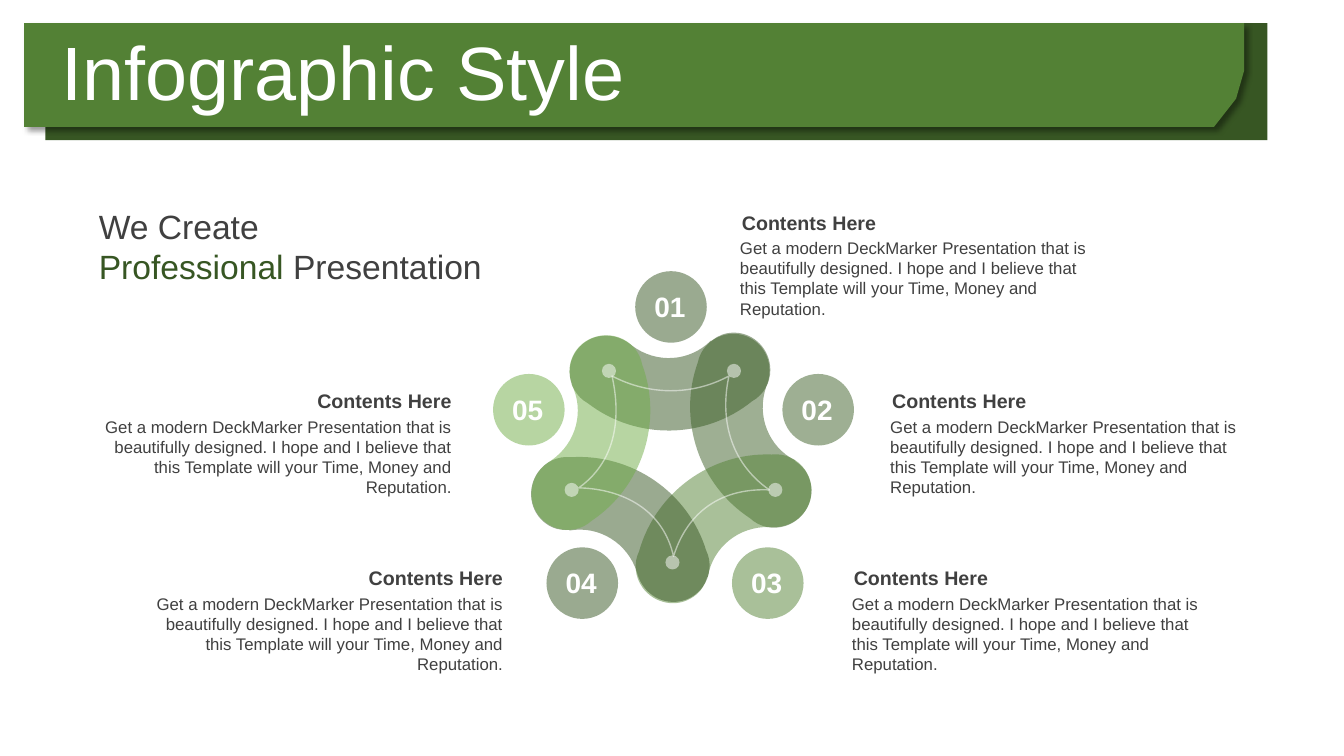
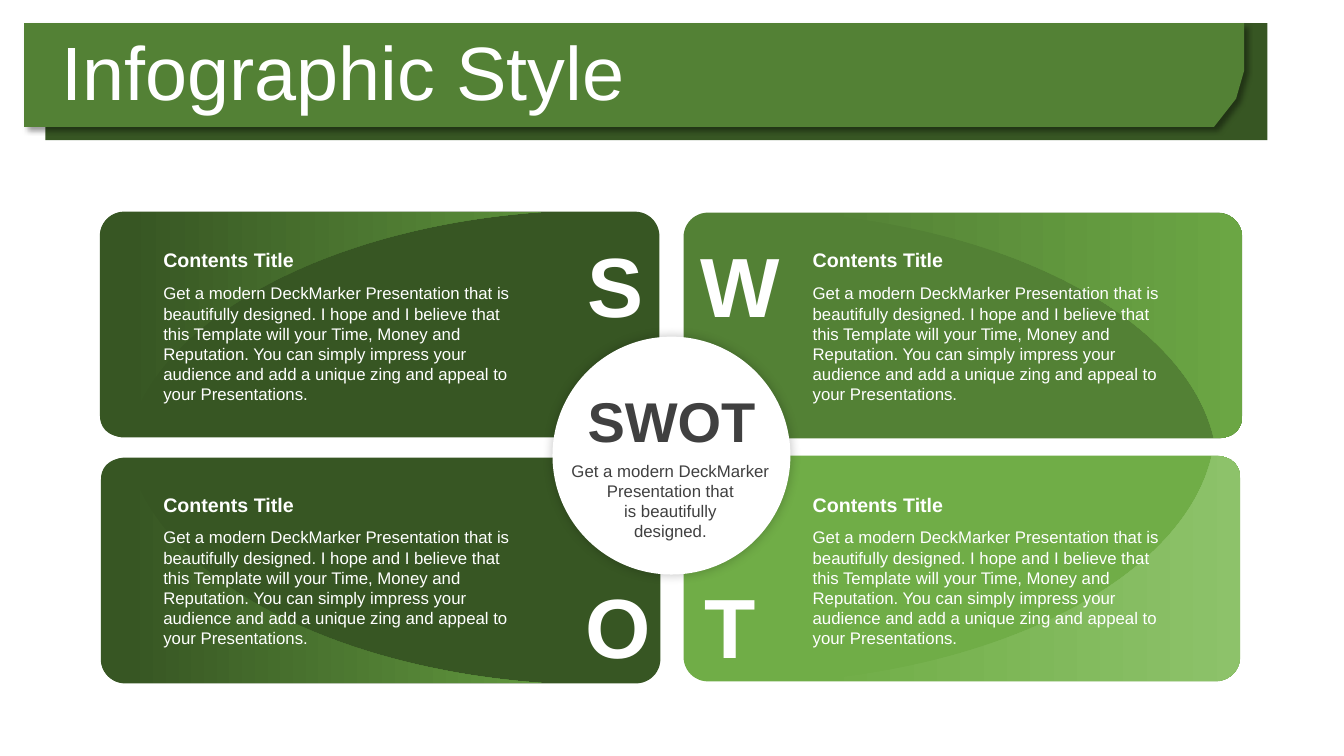
from lxml import etree
from pptx import Presentation
from pptx.dml.color import RGBColor
from pptx.enum import shapes as kinds, text as txt
from pptx.oxml.ns import qn
from pptx.util import Inches, Pt


class Theme:
    font = "Arial"
    white, ink, black = "FFFFFF", "404040", "000000"
    forest, moss, leaf, grass = "375623", "538135", "548235", "70AD47"
    pine = "3E6128"
    banner_size, letter_size, hub_size, lead_size = 54, 60, 40, 24
    badge_size, heading_size, body_size = 20, 14, 12


LEFT, CENTER, RIGHT = txt.PP_ALIGN.LEFT, txt.PP_ALIGN.CENTER, txt.PP_ALIGN.RIGHT
OVAL, RECT = kinds.MSO_SHAPE.OVAL, kinds.MSO_SHAPE.RECTANGLE
ROUNDED = kinds.MSO_SHAPE.ROUNDED_RECTANGLE

# Content
BANNER = "Infographic Style"
LEAD = [[("We Create", Theme.ink)],
        [("Professional ", Theme.forest), ("Presentation", Theme.ink)]]
PITCH = ("Get a modern DeckMarker Presentation that is beautifully designed. "
         "I hope and I believe that this Template will your Time, Money and Reputation.")
LONG_PITCH = PITCH + (" You can simply impress your audience and add a unique zing "
                      "and appeal to your Presentations.")
HUB_LINES = ["Get a modern DeckMarker Presentation that", "is beautifully", "designed."]

# Star: number, colour, badge corner, link corner, link angle, text corner, alignment
STAR = [
    ("01", Theme.forest, (6.3, 2.69), (5.65, 3.3), 0, (7.26, 2.04), LEFT),
    ("02", Theme.pine, (7.76, 3.71), (6.38, 3.82), 72.2, (8.75, 3.81), LEFT),
    ("03", Theme.leaf, (7.26, 5.43), (6.12, 4.67), 144.6, (8.37, 5.57), LEFT),
    ("04", Theme.forest, (5.42, 5.43), (5.22, 4.68), 215.3, (1.45, 5.57), RIGHT),
    ("05", Theme.grass, (4.89, 3.71), (4.93, 3.84), 288.6, (0.94, 3.81), RIGHT),
]
JOINTS = [(5.97, 3.61), (7.21, 3.61), (7.62, 4.79), (6.6, 5.51), (5.6, 4.79)]

# SWOT: letter, left, top, width, colour, highlight
PANELS = [
    ("S", 0.99, 2.1, 5.55, Theme.forest, "5C903B"),
    ("W", 6.78, 2.11, 5.54, Theme.moss, "6BA644"),
    ("O", 1, 4.54, 5.55, Theme.forest, "61983E"),
    ("T", 6.78, 4.52, 5.52, Theme.grass, "8DC26A"),
]
PANEL_HEIGHT = 2.24
# By column: letter left, text left; by row: letter, heading and body top
PANEL_COLUMNS = [(5.71, 1.5), (6.85, 7.94)]
PANEL_ROWS = [(2.32, 2.41, 2.76), (5.7, 4.84, 5.18)]

# Outlines: a start point, then lines (x, y) and curves (two handles, end)
BANNER_OUTLINE = [(0.24, 0.23), (12.34, 0.23), (12.34, 0.7), (12.26, 0.98),
                  (12.04, 1.26), (0.24, 1.26)]
# Relative to the corner of the link
LINK_OUTLINE = [
    (1.63, 0), (1.83, 0, 1.99, 0.17, 1.99, 0.37), (1.99, 0.5, 1.92, 0.62, 1.81, 0.68),
    (1.34, 1.06, 0.66, 1.07, 0.18, 0.7), (0.07, 0.64, 0, 0.52, 0, 0.39),
    (0, 0.19, 0.16, 0.03, 0.36, 0.03), (0.46, 0.03, 0.55, 0.07, 0.62, 0.13),
    (0.86, 0.31, 1.19, 0.29, 1.4, 0.08), (1.41, 0.08), (1.47, 0.03, 1.54, 0, 1.63, 0),
]
THREAD_OUTLINE = [
    (6.07, 3.73), (6.43, 3.92, 6.86, 3.93, 7.23, 3.73),
    (7.14, 4.14, 7.23, 4.58, 7.63, 4.86), (7.16, 4.84, 6.82, 5.07, 6.68, 5.52),
    (6.58, 5.06, 6.18, 4.85, 5.74, 4.84), (6.09, 4.59, 6.17, 4.18, 6.07, 3.73),
]
# Relative to the outer corner of the panel, pointing inwards
GLOW_OUTLINE = [
    (0.28, 2.24), (0.05, 2.24, 0, 2.12, 0, 2.01), (0, 0.25),
    (0, 0.13, 0.08, 0, 0.28, 0), (4.43, 0), (2.27, 0.14, 0.55, 1.07, 0.28, 2.24),
]


# Drawing helpers
def rgb(color):
    return RGBColor.from_string(color)


def set_alpha(shape, percent):
    for color in shape._element.spPr.iter(qn("a:srgbClr")):
        etree.SubElement(color, qn("a:alpha"), val=str(percent * 1000))


def paint(shape, color, alpha=None):
    shape.shadow.inherit = False
    shape.line.fill.background()
    shape.fill.solid()
    shape.fill.fore_color.rgb = rgb(color)
    if alpha:
        set_alpha(shape, alpha)
    return shape


def cast_shadow(shape, alpha, blur, distance, angle):
    effects = shape._element.spPr.find(qn("a:effectLst"))
    outer = etree.SubElement(effects, qn("a:outerShdw"), blurRad=str(Pt(blur)),
                             dist=str(Pt(distance)), dir=str(angle * 60000),
                             algn="ctr", rotWithShape="0")
    color = etree.SubElement(outer, qn("a:srgbClr"), val=Theme.black)
    etree.SubElement(color, qn("a:alpha"), val=str(alpha * 1000))


def add_preset(slide, preset, left, top, width, height, color, alpha=None):
    shape = slide.shapes.add_shape(preset, Inches(left), Inches(top),
                                   Inches(width), Inches(height))
    return paint(shape, color, alpha)


def pairs(segment):
    return list(zip(segment[::2], segment[1::2]))


def trace(outline, steps=16):
    """Sample the outline, to find the room it takes."""
    points = [outline[0]]
    for segment in outline[1:]:
        if len(segment) == 2:
            points.append(segment)
            continue
        corners = [points[-1]] + pairs(segment)
        for step in range(1, steps + 1):
            t = step / steps
            weights = ((1 - t) ** 3, 3 * t * (1 - t) ** 2, 3 * t * t * (1 - t), t ** 3)
            points.append(tuple(sum(w * corner[axis] for w, corner in zip(weights, corners))
                                for axis in (0, 1)))
    return points


def add_outline(slide, outline, x=0, y=0, dx=1, dy=1):
    """Draw an outline moved to (x, y), mirrored where dx or dy is -1."""
    outline = [tuple(value for px, py in pairs(segment) for value in (x + dx * px, y + dy * py))
               for segment in outline]
    start, *rest = [(Inches(px), Inches(py)) for px, py in trace(outline)]
    builder = slide.shapes.build_freeform(*start)
    builder.add_line_segments(rest, close=True)
    shape = builder.convert_to_shape()
    shape.shadow.inherit = False

    # Swap the sampled lines for true curves
    route = next(shape._element.iter(qn("a:moveTo"))).getparent()
    for step in list(route):
        route.remove(step)
    for index, segment in enumerate(outline):
        tag = "a:cubicBezTo" if len(segment) == 6 else "a:lnTo" if index else "a:moveTo"
        step = etree.SubElement(route, qn(tag))
        for px, py in pairs(segment):
            etree.SubElement(step, qn("a:pt"), x=str(Inches(px) - shape.left),
                             y=str(Inches(py) - shape.top))
    etree.SubElement(route, qn("a:close"))
    return shape


def style(paragraph, size, color, bold=False, align=LEFT):
    paragraph.alignment = align
    for run in paragraph.runs:
        font = run.font
        font.name, font.size, font.bold = Theme.font, Pt(size), bold
        font.color.rgb = rgb(color)


def add_text(slide, lines, left, top, width, height, size, color,
             bold=False, align=LEFT, insets=(0.12, 0.05, 0.12, 0.05)):
    box = slide.shapes.add_textbox(Inches(left), Inches(top), Inches(width), Inches(height))
    frame = box.text_frame
    frame.word_wrap = True
    (frame.margin_left, frame.margin_top,
     frame.margin_right, frame.margin_bottom) = map(Inches, insets)
    frame.text = lines
    for paragraph in frame.paragraphs:
        style(paragraph, size, color, bold, align)
    return frame


def add_banner(slide):
    add_preset(slide, RECT, 0.45, 0.23, 12.12, 1.16, Theme.forest)
    front = paint(add_outline(slide, BANNER_OUTLINE), Theme.moss)
    cast_shadow(front, 40, 4, 3, 45)
    frame = add_text(slide, BANNER, 0.51, 0.36, 10.98, 0.79, Theme.banner_size,
                     Theme.white, insets=(0.1, 0.05, 0.1, 0.05))
    frame.vertical_anchor = txt.MSO_ANCHOR.MIDDLE
    frame.paragraphs[0].line_spacing = 0.9


# Slide 1: five linked steps
def build_star(slide):
    for _, _, _, _, _, (left, top), align in STAR:
        add_text(slide, "Contents Here", left, top, 3.66, 0.34, Theme.heading_size,
                 Theme.ink, True, align, (0.1, 0.05, 0.12, 0.05))
        add_text(slide, PITCH, left, top + 0.27, 3.66, 0.91, Theme.body_size,
                 Theme.ink, False, align, (0.08, 0.05, 0.12, 0.05))

    lead = add_text(slide, "", 0.9, 2.04, 4.16, 0.81, Theme.lead_size, Theme.ink,
                    insets=(0.08, 0, 0.04, 0))
    for index, pieces in enumerate(LEAD):
        paragraph = lead.add_paragraph() if index else lead.paragraphs[0]
        for words, _ in pieces:
            paragraph.add_run().text = words
        style(paragraph, Theme.lead_size, Theme.ink)
        for run, (_, color) in zip(paragraph.runs, pieces):
            run.font.color.rgb = rgb(color)

    for _, color, _, (left, top), angle, _, _ in STAR:
        link = paint(add_outline(slide, LINK_OUTLINE, left, top), color, 50)
        link.rotation = angle
    for _, color, (left, top), *_ in STAR:
        add_preset(slide, OVAL, left, top, 0.71, 0.71, color, 50)
    for number, _, (left, top), *_ in STAR:
        add_text(slide, number, left + 0.02, top + 0.13, 0.67, 0.44, Theme.badge_size,
                 Theme.white, True, CENTER, (0.1, 0.05, 0.12, 0.05))

    for left, top in JOINTS:
        add_preset(slide, kinds.MSO_SHAPE.FLOWCHART_CONNECTOR, left, top, 0.14, 0.14,
                   Theme.white, 50)
    thread = add_outline(slide, THREAD_OUTLINE)
    thread.fill.background()
    thread.line.color.rgb = rgb(Theme.white)
    thread.line.width = Pt(1)
    set_alpha(thread, 50)


# Slide 2: four panels around a hub
def build_swot(slide):
    for index, (letter, left, top, width, color, light) in enumerate(PANELS):
        row, column = divmod(index, 2)
        panel = add_preset(slide, ROUNDED, left, top, width, PANEL_HEIGHT, color)
        panel.adjustments[0] = 0.108
        shine = add_outline(slide, GLOW_OUTLINE, left + column * width,
                            top + row * PANEL_HEIGHT, 1 - 2 * column, 1 - 2 * row)
        shine.line.fill.background()
        shine.fill.gradient()
        shine.fill.gradient_angle = 0
        for stop, position, tone in zip(shine.fill.gradient_stops, (0.06, 1), (color, light)):
            stop.position = position
            stop.color.rgb = rgb(tone)

        letter_left, text_left = PANEL_COLUMNS[column]
        letter_top, heading_top, body_top = PANEL_ROWS[row]
        add_text(slide, letter, letter_left, letter_top, 0.79, 1.01, Theme.letter_size,
                 Theme.white, True, CENTER, (0.1, 0, 0.1, 0))
        add_text(slide, "Contents Title", text_left, heading_top, 3.87, 0.34,
                 Theme.heading_size, Theme.white, True)
        add_text(slide, LONG_PITCH, text_left, body_top, 3.87, 1.31,
                 Theme.body_size, Theme.white)

    hub = add_preset(slide, OVAL, 5.48, 3.34, 2.36, 2.36, Theme.white)
    cast_shadow(hub, 24, 8, 0, 0)
    add_preset(slide, OVAL, 5.5, 3.36, 2.32, 2.32, Theme.white)
    add_text(slide, "SWOT", 5.5, 3.79, 2.32, 0.77, Theme.hub_size, Theme.ink, True, CENTER)
    add_text(slide, "\n".join(HUB_LINES), 5.48, 4.52, 2.34, 0.91, Theme.body_size,
             Theme.ink, False, CENTER)


def main():
    deck = Presentation()
    deck.slide_width, deck.slide_height = Inches(13.33), Inches(7.5)
    for build in (build_star, build_swot):
        slide = deck.slides.add_slide(deck.slide_layouts[6])
        add_banner(slide)
        build(slide)
    deck.save("out.pptx")


if __name__ == "__main__":
    main()
